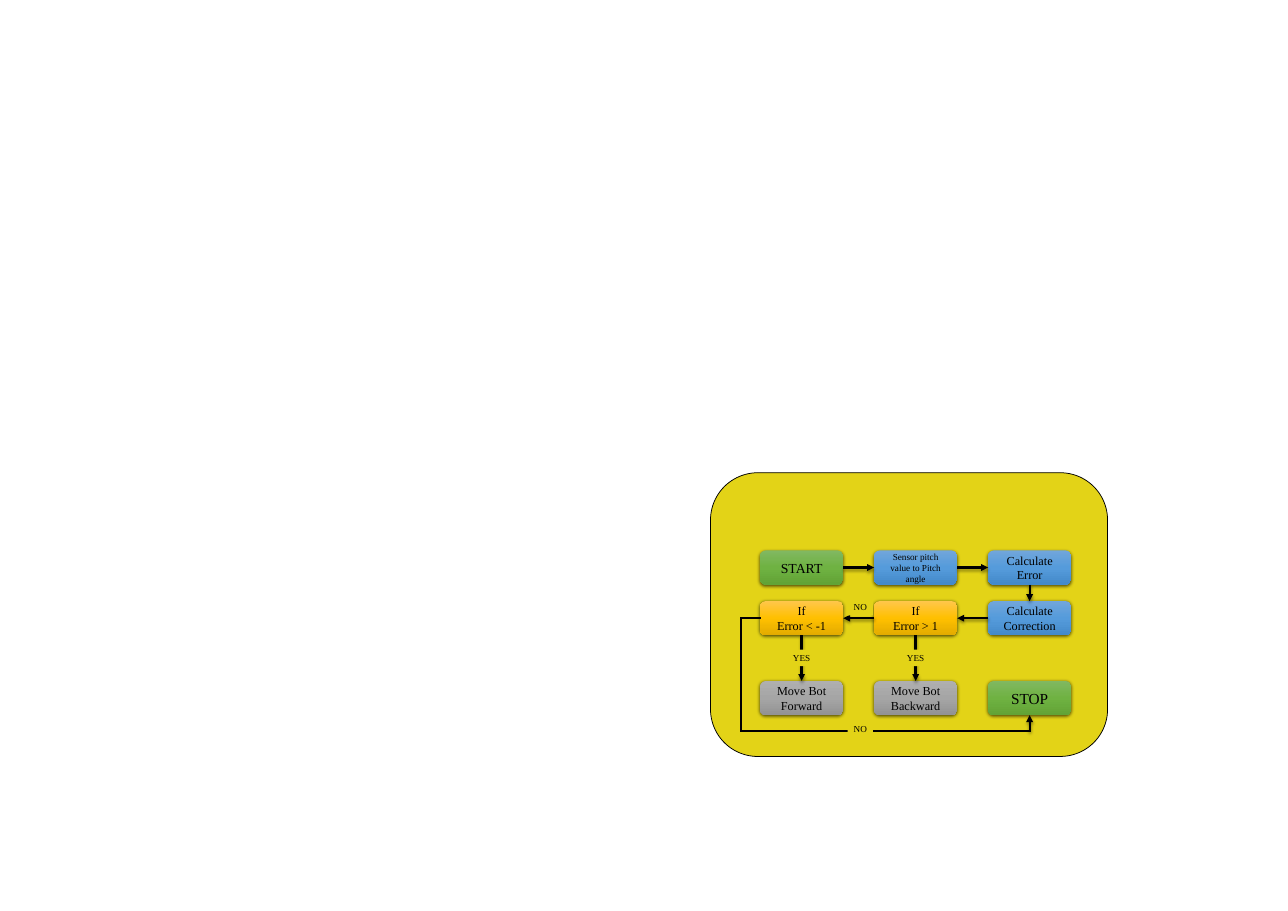
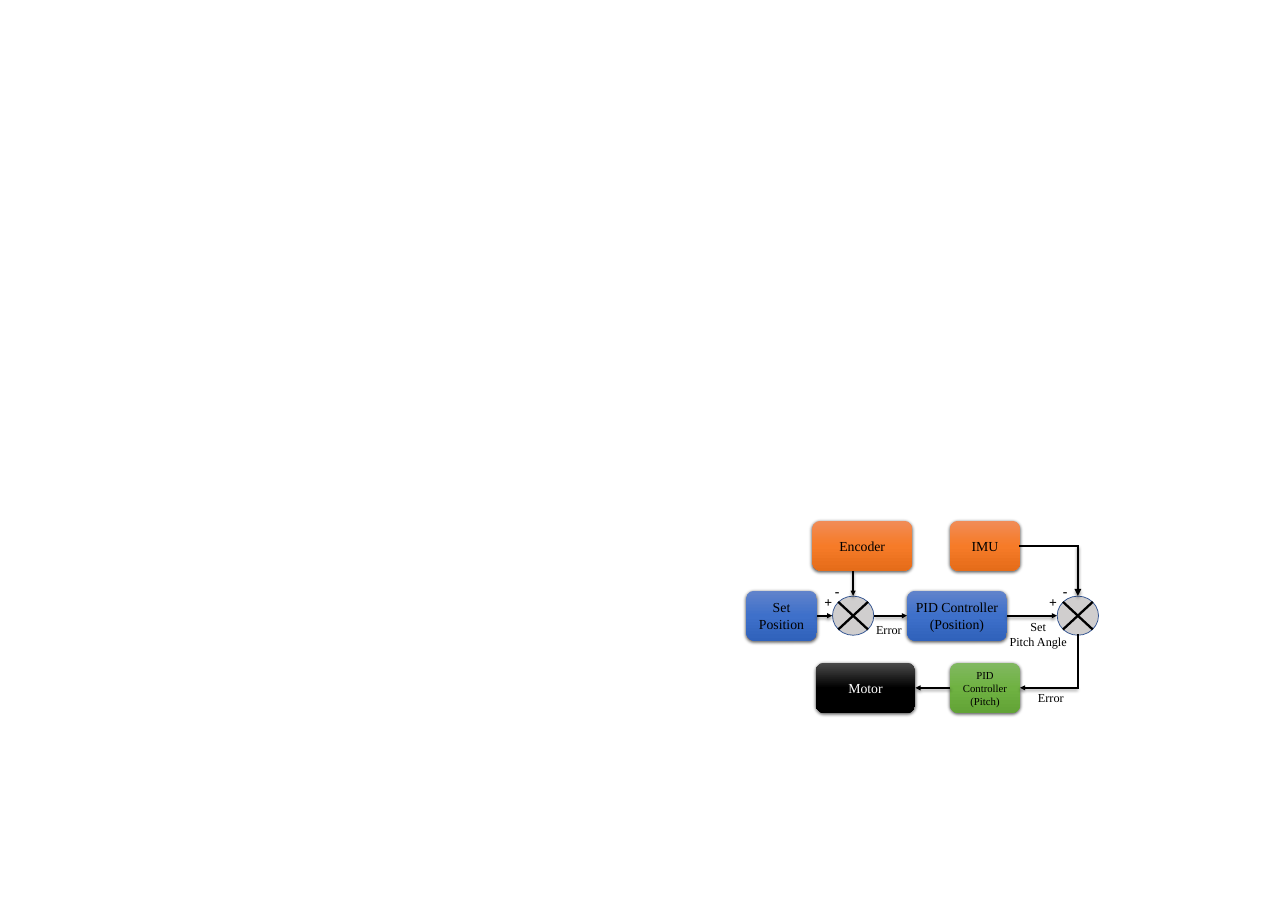
from itertools import pairwise

from lxml import etree
from pptx import Presentation
from pptx.dml.color import RGBColor
from pptx.enum.shapes import MSO_CONNECTOR as Connector, MSO_SHAPE as Shape
from pptx.enum.text import MSO_ANCHOR as Anchor, PP_ALIGN as Align
from pptx.oxml import parse_xml
from pptx.oxml.ns import nsdecls, qn
from pptx.util import Emu, Inches, Pt

A2_LANDSCAPE = Emu(21383625), Emu(15119350)
FONT = "Times New Roman"
COLORS = {
    "black": "000000", "white": "FFFFFF", "panel": "E3D317",
    "junction": "D0CECE", "junction_line": "325491",
}
GRADIENTS = {
    "green": ("81B861", "6FB242", "62A336"),
    "sky": ("71A6DB", "559BDB", "448ACA"),
    "gold": ("FFC64B", "FFC000", "E3AB00"),
    "gray": ("AFAFAF", "A5A5A5", "939393"),
    "blue": ("6183CB", "3E70CA", "3062BB"),
    "orange": ("F18C57", "F67B28", "E56C19"),
    "black": ("4B4B4B", "000000", "000000"),
}
TOP, LEFT, BOTTOM, RIGHT = range(4)


def rgb(name):
    return RGBColor.from_string(COLORS[name])


def write(shape, text, size=18, color="black", bold=False, inset=0):
    """Fill a shape with centred text; \\v breaks a line, \\n a paragraph."""
    frame = shape.text_frame
    frame.word_wrap = True
    frame.vertical_anchor = Anchor.MIDDLE
    frame.margin_left = frame.margin_right = Inches(inset)
    frame.margin_top = frame.margin_bottom = 0
    frame.text = text
    for paragraph in frame.paragraphs:
        paragraph.alignment = Align.CENTER
        for run in paragraph.runs:
            run.font.name = FONT
            run.font.size = Pt(size)
            run.font.bold = bold
            run.font.color.rgb = rgb(color)


def set_gradient(shape, stops):
    shape.fill.background()
    properties = shape._element.spPr
    stop_xml = "".join(
        f'<a:gs pos="{index * 50000}"><a:srgbClr val="{color}"/></a:gs>'
        for index, color in enumerate(stops))
    gradient = parse_xml(
        f'<a:gradFill {nsdecls("a")} rotWithShape="1"><a:gsLst>{stop_xml}</a:gsLst>'
        '<a:lin ang="5400000" scaled="0"/></a:gradFill>')
    properties.replace(properties.find(qn("a:noFill")), gradient)


def add_shadow(effects, opacity, blur, distance):
    effects.append(parse_xml(
        f'<a:outerShdw {nsdecls("a")} blurRad="{Pt(blur)}" dist="{Pt(distance)}" '
        'dir="5400000" algn="ctr" rotWithShape="0"><a:srgbClr val="000000">'
        f'<a:alpha val="{opacity * 1000}"/></a:srgbClr></a:outerShdw>'))


class Diagram:
    def __init__(self):
        self.presentation = Presentation()
        self.presentation.slide_width, self.presentation.slide_height = A2_LANDSCAPE
        self.slide = None

    def new_slide(self):
        layout = self.presentation.slide_layouts[6]
        self.slide = self.presentation.slides.add_slide(layout)

    def outlined(self, kind, left, top, width, height, fill, line):
        shape = self.slide.shapes.add_shape(
            kind, Inches(left), Inches(top), Inches(width), Inches(height))
        shape.shadow.inherit = False
        shape.fill.solid()
        shape.fill.fore_color.rgb = rgb(fill)
        shape.line.color.rgb = rgb(line)
        shape.line.width = Pt(1)

    def block(self, text, left, top, width, height, gradient, inset=0.1, **text_format):
        shape = self.slide.shapes.add_shape(
            Shape.ROUNDED_RECTANGLE, Inches(left), Inches(top),
            Inches(width), Inches(height))
        set_gradient(shape, GRADIENTS[gradient])
        shape.line.fill.background()
        shape.shadow.inherit = False
        add_shadow(shape._element.spPr.find(qn("a:effectLst")), 63, 4.5, 1.5)
        write(shape, text, inset=inset, **text_format)
        return shape

    def label(self, text, center_x, center_y, width, height, fill=None, **text_format):
        box = self.slide.shapes.add_textbox(
            Inches(center_x - width / 2), Inches(center_y - height / 2),
            Inches(width), Inches(height))
        if fill:
            box.fill.solid()
            box.fill.fore_color.rgb = rgb(fill)
        write(box, text, **text_format)

    def line(self, start, end, width=3, arrow=False, cap="flat"):
        """Draw a line; each end is an (x, y) point or a (shape, side) pair."""
        joined = [not isinstance(place[0], (int, float)) for place in (start, end)]
        points = [(0, 0) if join else place
                  for join, place in zip(joined, (start, end))]
        connector = self.slide.shapes.add_connector(
            Connector.STRAIGHT, *(Inches(value) for point in points for value in point))
        if joined[0]:
            connector.begin_connect(*start)
        if joined[1]:
            connector.end_connect(*end)
        connector.line.color.rgb = rgb("black")
        connector.line.width = Pt(width)
        properties = connector._element.spPr
        outline = properties.find(qn("a:ln"))
        outline.set("cap", cap)
        effects = etree.SubElement(properties, qn("a:effectLst"))
        if arrow:
            etree.SubElement(outline, qn("a:tailEnd"), type="triangle")
            add_shadow(effects, 40, 4, 3)

    def route(self, *places, tip_width=3):
        """Draw a line with corners that ends in an arrow."""
        *legs, tip = pairwise(places)
        for start, end in legs:
            self.line(start, end, cap="sq")
        self.line(*tip, width=tip_width, arrow=True)

    def junction(self, center_x, center_y, minus_gap):
        width, height = 0.75, 0.71
        self.outlined(Shape.OVAL, center_x - width / 2, center_y - height / 2,
                      width, height, "junction", "junction_line")
        for rise in (0.25, -0.25):
            self.line((center_x - 0.27, center_y - rise),
                      (center_x + 0.27, center_y + rise))
        self.label("+", center_x - 0.45, center_y - 0.24, 0.32, 0.4, bold=True)
        self.label("-", center_x - minus_gap, center_y - 0.44, 0.32, 0.4, bold=True)


def add_flowchart(diagram):
    diagram.new_slide()
    diagram.outlined(Shape.ROUNDED_RECTANGLE, 12.9, 8.58, 7.21, 5.15, "panel", "black")
    width, height, pitch, first_left = 1.51, 0.62, 2.07, 13.8
    rows = [
        (9.99, [("START", "green", 18), ("Sensor pitch value to Pitch angle", "sky", 12),
                ("Calculate Error", "sky", 16)]),
        (10.91, [("If\vError < -1", "gold", 16), ("If\vError > 1", "gold", 16),
                 ("Calculate Correction", "sky", 16)]),
        (12.36, [("Move Bot\vForward", "gray", 16), ("Move Bot\vBackward", "gray", 16),
                 ("STOP", "green", 20)]),
    ]
    (start, pitch_angle, error), (below, above, correction), (forward, backward, stop) = [
        [diagram.block(text, first_left + column * pitch, top, width, height,
                       gradient, inset=0.2, size=size)
         for column, (text, gradient, size) in enumerate(cells)]
        for top, cells in rows]

    for source, source_side, target, target_side in (
            (start, RIGHT, pitch_angle, LEFT), (pitch_angle, RIGHT, error, LEFT),
            (error, BOTTOM, correction, TOP), (correction, LEFT, above, RIGHT),
            (above, LEFT, below, RIGHT), (above, BOTTOM, backward, TOP),
            (below, BOTTOM, forward, TOP)):
        diagram.line((source, source_side), (target, target_side), arrow=True)

    return_x, return_y = 13.46, 13.27
    centers = [first_left + width / 2 + column * pitch for column in range(3)]
    diagram.route((below, LEFT), (return_x, 11.22), (return_x, return_y),
                  (centers[2], return_y), (stop, BOTTOM))
    for center in centers[:2]:
        diagram.label("YES", center, 11.94, 0.56, 0.3, fill="panel", size=12)
    for center_y in (11.02, 13.23):
        diagram.label("NO", 15.62, center_y, 0.46, 0.3, fill="panel", size=12)


def add_control_loop(diagram):
    diagram.new_slide()
    height, wide, narrow = 0.91, 1.81, 1.27
    top_row, middle_row, bottom_row = 9.45, 10.72, 12.03
    axis_y = middle_row + height / 2
    position_x, pitch_x, radius_x, radius_y = 15.49, 19.57, 0.38, 0.36

    set_position = diagram.block("Set\vPosition", 13.55, middle_row, 1.28, height, "blue")
    motor = diagram.block("Motor", 14.81, bottom_row, wide, height, "black", color="white")
    diagram.block("Encoder", 14.75, top_row, wide, height, "orange")
    pitch_control = diagram.block("PID Controller\n(Pitch)", 17.25, bottom_row,
                                  narrow, height, "green", inset=0.14, size=14)
    imu = diagram.block("IMU", 17.25, top_row, narrow, height, "orange")
    position_control = diagram.block("PID Controller\n(Position)", 16.47, middle_row,
                                     wide, height, "blue")
    for center_x, minus_gap in ((position_x, 0.29), (pitch_x, 0.23)):
        diagram.junction(center_x, axis_y, minus_gap)

    for start, end in (
            ((position_x, top_row + height), (position_x, axis_y - radius_y)),
            ((pitch_control, LEFT), (motor, RIGHT)),
            ((set_position, RIGHT), (position_x - radius_x, axis_y)),
            ((position_x + radius_x, axis_y), (position_control, LEFT)),
            ((position_control, RIGHT), (pitch_x - radius_x, axis_y))):
        diagram.line(start, end, width=2.25, arrow=True)
    diagram.route((imu, RIGHT), (pitch_x, top_row + height / 2),
                  (pitch_x, axis_y - radius_y))
    diagram.route((pitch_x, axis_y + radius_y), (pitch_x, bottom_row + height / 2),
                  (pitch_control, RIGHT), tip_width=2.25)

    diagram.label("Set\vPitch Angle", 18.85, 11.51, 1.27, 0.64, size=16)
    for center_x, center_y in ((19.08, 12.66), (16.14, 11.43)):
        diagram.label("Error", center_x, center_y, 0.74, 0.37, size=16)


def main():
    diagram = Diagram()
    add_flowchart(diagram)
    add_control_loop(diagram)
    diagram.presentation.save("out.pptx")


if __name__ == "__main__":
    main()
